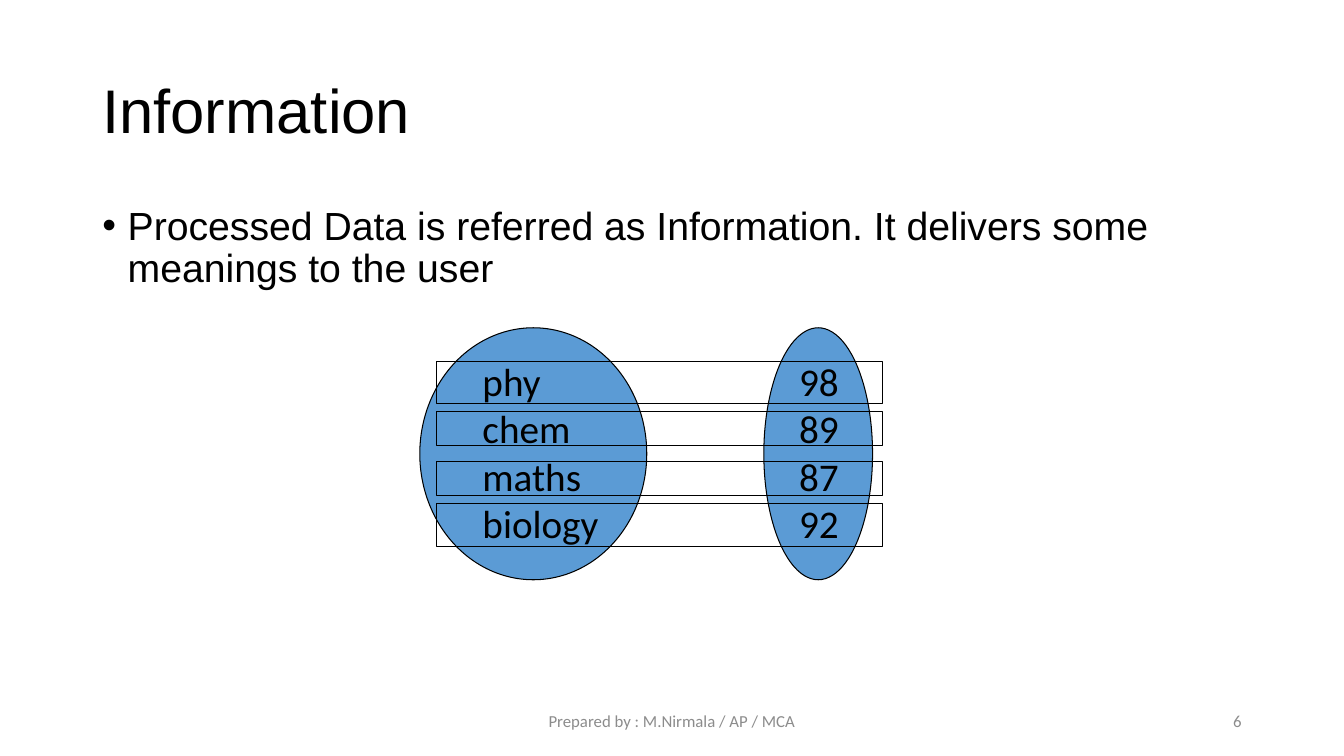
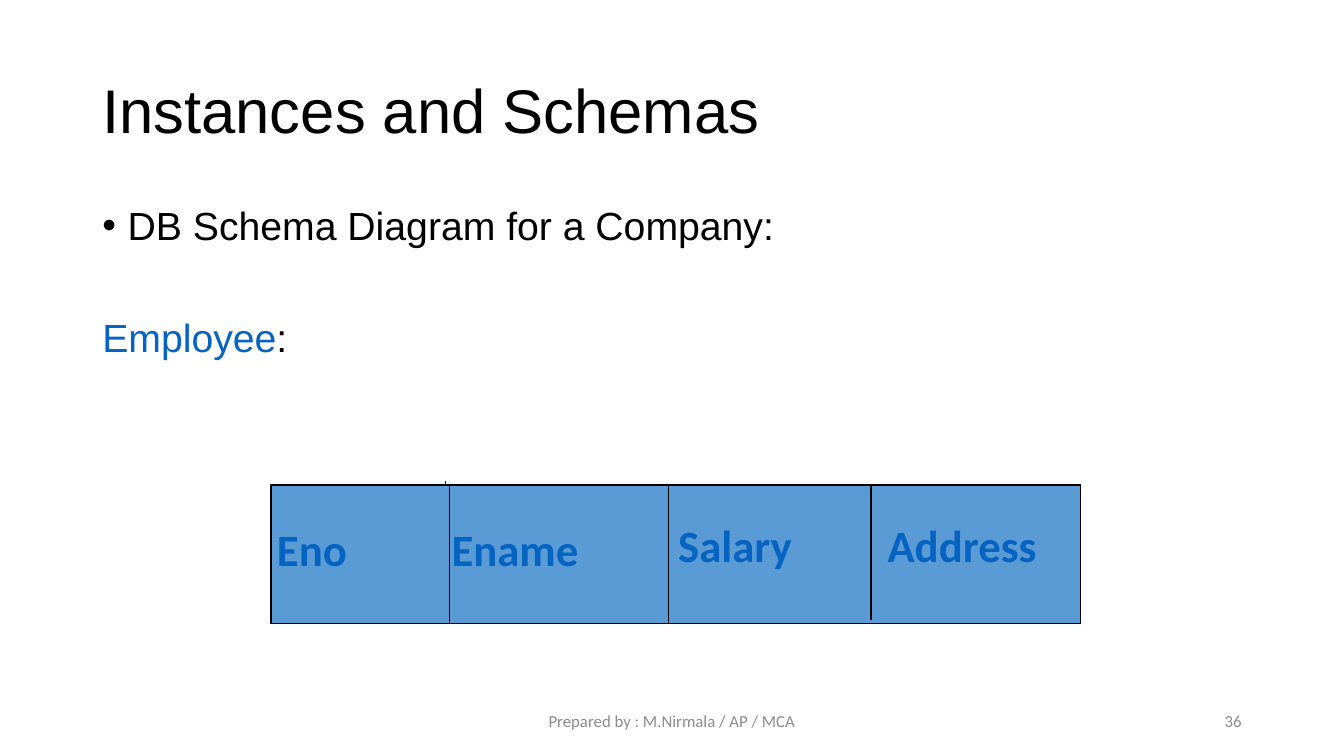
from lxml import etree
from pptx import Presentation
from pptx.dml.color import RGBColor
from pptx.enum import shapes, text
from pptx.oxml.ns import qn
from pptx.util import Cm, Pt

BLACK = RGBColor(0x00, 0x00, 0x00)
GREY = RGBColor(0x8C, 0x8C, 0x8C)
BLUE = RGBColor(0x5B, 0x9B, 0xD5)
LINK_BLUE = RGBColor(0x05, 0x63, 0xC1)
HEADING_FONT, LABEL_FONT = "Arial", "Calibri"
FOOTER = "Prepared by : M.Nirmala / AP / MCA"

# Boxes are (left, top, width, height) in centimetres.
TITLE_BOX = (2.33, 1.02, 29.21, 3.68)
BODY_BOX = (2.33, 5.08, 29.21, 12.09)
FOOTER_BOX = (11.22, 17.65, 11.43, 1.02)
NUMBER_BOX = (23.92, 17.65, 7.62, 1.02)

INFORMATION = "Processed Data is referred as Information. It delivers some meanings to the user"
MARKS = [("phy", 98), ("chem", 89), ("maths", 87), ("biology", 92)]
MARK_OVAL, MARK_BOX = (19.25, 8.26, 2.74, 6.35), (19.89, 8.89, 2.11, 5)
SUBJECT_OVAL, SUBJECT_BOX = (10.58, 8.26, 5.72, 6.35), (11.91, 8.89, 4.39, 5)
BAND_LEFT, BAND_WIDTH = 11, 11.23
BANDS = [(9.1, 1.07), (10.37, 0.85), (11.64, 0.85), (12.7, 1.07)]  # top, height

SCHEMA = "DB Schema Diagram for a Company:"
RECORD_LEFT, RECORD_TOP, RECORD_WIDTH, RECORD_HEIGHT = 6.83, 12.22, 20.4, 3.5
RECORD_BOTTOM = RECORD_TOP + RECORD_HEIGHT
TICK = (11.22, 12.12, RECORD_BOTTOM)  # x, top, bottom
DIVIDERS = [(11.33, RECORD_TOP, RECORD_BOTTOM),
            (16.84, RECORD_TOP, RECORD_BOTTOM),
            (21.95, RECORD_TOP, 15.62)]
FIELDS = [("Eno", 6.73, 13.03, 4.4), ("Ename", 11.13, 13.03, 5.3),
          ("Salary", 16.84, 12.93, 4.8), ("Address", 22.12, 12.93, 4.6)]
FIELD_HEIGHT = 1.6


def add_text(slide, box, lines, size, font=LABEL_FONT, color=BLACK, bold=False,
             align=text.PP_ALIGN.LEFT, anchor=text.MSO_ANCHOR.TOP):
    frame = slide.shapes.add_textbox(*map(Cm, box)).text_frame
    frame.word_wrap = True
    frame.vertical_anchor = anchor
    for index, line in enumerate(lines):
        paragraph = frame.add_paragraph() if index else frame.paragraphs[0]
        paragraph.text = line
        paragraph.alignment = align
        style(paragraph, size, font, color, bold)
    return frame


def style(paragraph, size, font, color, bold=False):
    paragraph.font.size = Pt(size)
    paragraph.font.name = font
    paragraph.font.bold = bold
    paragraph.font.color.rgb = color


def add_shape(slide, kind, box, fill=None, line_width=0.75):
    shape = slide.shapes.add_shape(kind, *map(Cm, box))
    shape.shadow.inherit = False
    if fill is None:
        shape.fill.background()
    else:
        shape.fill.solid()
        shape.fill.fore_color.rgb = fill
    shape.line.color.rgb = BLACK
    shape.line.width = Pt(line_width)


def add_vertical(slide, x, top, bottom):
    line = slide.shapes.add_connector(
        shapes.MSO_CONNECTOR.STRAIGHT, Cm(x), Cm(top), Cm(x), Cm(bottom))
    line.line.color.rgb = BLACK
    line.line.width = Pt(1)
    etree.SubElement(line.element.spPr, qn("a:effectLst"))


def add_base(prs, title, bullet, number):
    """Add a slide with title, bullet and footer; return it and its body frame."""
    slide = prs.slides.add_slide(prs.slide_layouts[6])
    middle = text.MSO_ANCHOR.MIDDLE
    heading = add_text(slide, TITLE_BOX, [title], 44, HEADING_FONT, anchor=middle)
    heading.paragraphs[0].line_spacing = 0.9

    body = slide.shapes.add_textbox(*map(Cm, BODY_BOX)).text_frame
    body.word_wrap = True
    paragraph = body.paragraphs[0]
    paragraph.text = bullet
    properties = paragraph._p.get_or_add_pPr()
    properties.set("marL", str(Cm(0.64)))
    properties.set("indent", str(-Cm(0.64)))
    etree.SubElement(properties, qn("a:buFont"), typeface=HEADING_FONT)
    etree.SubElement(properties, qn("a:buChar"), char="•")
    paragraph.line_spacing = 0.9
    style(paragraph, 28, HEADING_FONT, BLACK)

    add_text(slide, FOOTER_BOX, [FOOTER], 12, color=GREY,
             align=text.PP_ALIGN.CENTER, anchor=middle)
    add_text(slide, NUMBER_BOX, [str(number)], 12, color=GREY,
             align=text.PP_ALIGN.RIGHT, anchor=middle)
    return slide, body


def build_information(prs):
    slide, _ = add_base(prs, "Information", INFORMATION, 6)
    subjects, marks = zip(*MARKS)
    for oval, box, entries in ((MARK_OVAL, MARK_BOX, marks),
                               (SUBJECT_OVAL, SUBJECT_BOX, subjects)):
        add_shape(slide, shapes.MSO_SHAPE.OVAL, oval, BLUE)
        add_text(slide, box, map(str, entries), 28)
    for top, height in BANDS:
        add_shape(slide, shapes.MSO_SHAPE.RECTANGLE, (BAND_LEFT, top, BAND_WIDTH, height))


def build_schema(prs):
    slide, body = add_base(prs, "Instances and Schemas", SCHEMA, 36)
    entity = body.add_paragraph()
    entity.line_spacing = 0.9
    entity.space_before = Pt(50)
    style(entity, 28, HEADING_FONT, BLACK)
    name = entity.add_run()
    name.text = "Employee"
    name.font.color.rgb = LINK_BLUE
    entity.add_run().text = ":"

    add_vertical(slide, *TICK)
    add_shape(slide, shapes.MSO_SHAPE.RECTANGLE,
              (RECORD_LEFT, RECORD_TOP, RECORD_WIDTH, RECORD_HEIGHT), BLUE, 1)
    for divider in DIVIDERS:
        add_vertical(slide, *divider)
    for field, left, top, width in FIELDS:
        add_text(slide, (left, top, width, FIELD_HEIGHT), [field], 32,
                 color=LINK_BLUE, bold=True)


def main():
    prs = Presentation()
    prs.slide_width, prs.slide_height = Cm(33.87), Cm(19.05)
    build_information(prs)
    build_schema(prs)
    prs.save("out.pptx")


if __name__ == "__main__":
    main()
